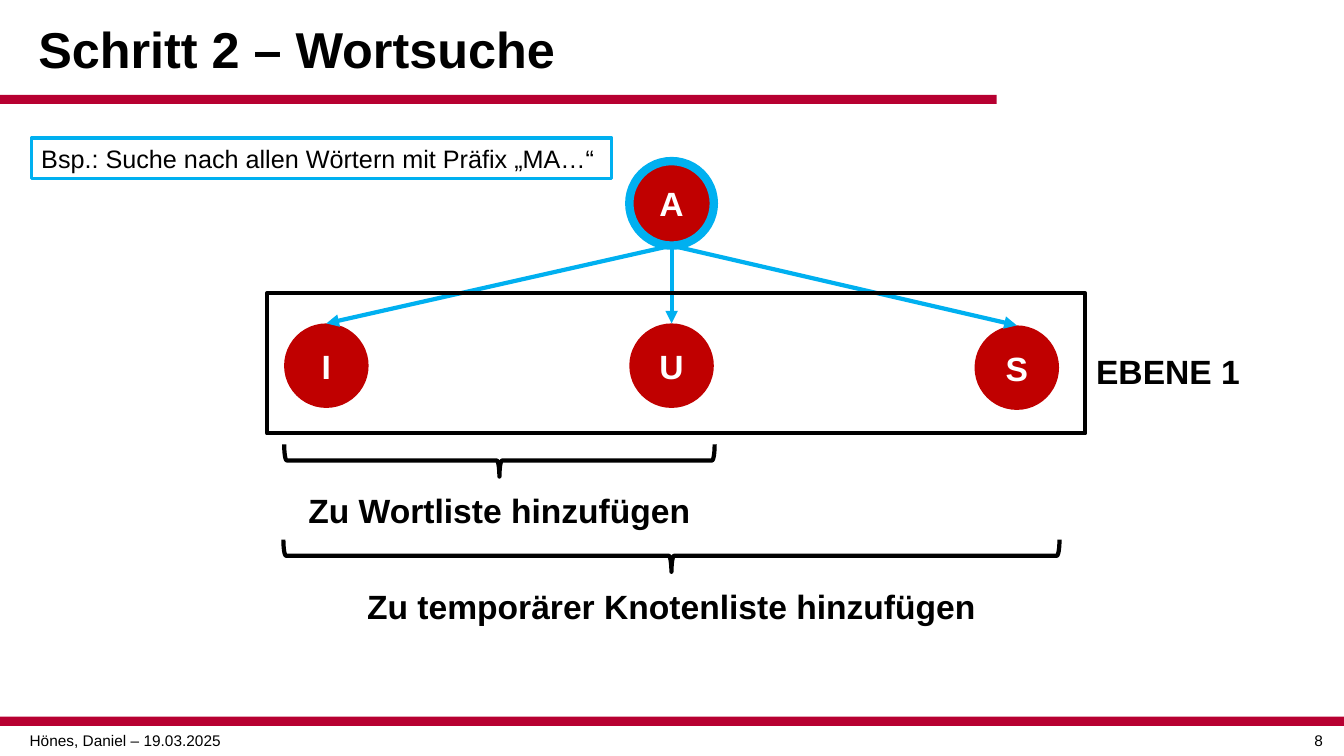
from lxml.etree import SubElement
from pptx import Presentation
from pptx.dml.color import RGBColor
from pptx.enum.shapes import MSO_CONNECTOR as Connector, MSO_SHAPE as Shape
from pptx.enum.text import MSO_ANCHOR as Anchor, PP_ALIGN as Align
from pptx.oxml.ns import qn
from pptx.util import Cm, Pt

COLORS = {"black": "000000", "white": "FFFFFF", "crimson": "B70031",
          "node": "C00000", "highlight": "00B0F0"}
NODE_SIZE = 2.13
BRACE_HEIGHT = 0.81


def color(name):
    """Return the named colour."""
    return RGBColor.from_string(COLORS[name])


def write(shape, text, size, bold=False, ink="black", align=Align.CENTER, anchor=Anchor.TOP):
    """Put one formatted paragraph into a shape."""
    frame = shape.text_frame
    frame.word_wrap = True
    frame.vertical_anchor = anchor
    para = frame.paragraphs[0]
    para.text = text
    para.alignment = align
    para.font.name = "Arial"
    para.font.size = Pt(size)
    para.font.bold = bold
    para.font.color.rgb = color(ink)
    return para


def add_label(page, box, text, size=24, bold=True):
    """Add a centred text box."""
    label = page.shapes.add_textbox(*map(Cm, box))
    write(label, text, size, bold)


def add_figure(page, kind, box, fill=None, line=None, weight=3):
    """Add a preset shape with an optional fill and outline."""
    figure = page.shapes.add_shape(kind, *map(Cm, box))
    figure.shadow.inherit = False
    if fill:
        figure.fill.solid()
        figure.fill.fore_color.rgb = color(fill)
    else:
        figure.fill.background()
    if line:
        figure.line.color.rgb = color(line)
        figure.line.width = Pt(weight)
    else:
        figure.line.fill.background()
    return figure


def add_node(page, left, top, letter, line=None):
    """Add a round tree node with its letter."""
    node = add_figure(page, Shape.OVAL, (left, top, NODE_SIZE, NODE_SIZE), "node", line, 6)
    write(node, letter, 24, True, "white", anchor=Anchor.MIDDLE)
    return node


def add_edge(page, parent, child):
    """Draw an arrow from the bottom of one node to the top of another."""
    edge = page.shapes.add_connector(
        Connector.STRAIGHT, parent.left + parent.width // 2, parent.top + parent.height,
        child.left + child.width // 2, child.top)
    edge.end_connect(child, 0)
    edge.line.color.rgb = color("highlight")
    edge.line.width = Pt(3)
    SubElement(edge.line._get_or_add_ln(), qn("a:tailEnd"), type="triangle")
    SubElement(edge._element.spPr, qn("a:effectLst"))


def add_header(page, box):
    """Place the title and the bar below it."""
    left, top, width, height = box
    title = page.shapes.title
    title.left, title.top, title.width, title.height = map(Cm, (left + 0.71, top, 28.5, height))
    para = write(title, "Schritt 2 – Wortsuche", 36, True, align=Align.LEFT, anchor=Anchor.MIDDLE)
    para.line_spacing = 0.9
    add_figure(page, Shape.RECTANGLE, (left, top + height, width, 0.23), "crimson")


def add_footer(page, box):
    """Place the bottom bar, the author line and the page number."""
    left, top, width, height = box
    bar = 0.23
    add_figure(page, Shape.RECTANGLE, (left, top, width, bar), "crimson")
    text_top, text_height = top + bar, height - bar
    add_label(page, (left, text_top, 6.32, text_height), "Hönes, Daniel – 19.03.2025", 11, False)
    add_label(page, (left + width - 1.28, text_top, 1.28, text_height), "8", 11, False)


def add_example(page, box):
    """Place the outlined search example."""
    example = add_figure(page, Shape.RECTANGLE, box, line="highlight", weight=2.25)
    write(example, "Bsp.: Suche nach allen Wörtern mit Präfix „MA…“", 18, align=Align.LEFT)


def add_tree(page, box):
    """Place the root, its children and the framed level."""
    left, top, width, height = box
    level_height = 3.53
    level_top = top + height - level_height
    step = 8.7
    first = left + 0.43
    root = add_node(page, first + step, top, "A", "highlight")
    children = [add_node(page, first + step * index, level_top + drop, letter)
                for index, (letter, drop) in enumerate([("I", 0.76), ("U", 0.76), ("S", 0.81)])]
    for child in children:
        add_edge(page, root, child)
    add_figure(page, Shape.RECTANGLE, (left, level_top, width, level_height), line="black")
    add_label(page, (left + width, level_top + 1.32, 4.17, 1.27), "EBENE 1")


def add_brace(page, box, caption):
    """Place a downward brace with its caption below."""
    left, top, width, height = box
    upright = (left + (width - BRACE_HEIGHT) / 2, top + (BRACE_HEIGHT - width) / 2,
               BRACE_HEIGHT, width)
    brace = add_figure(page, Shape.RIGHT_BRACE, upright, line="black")
    brace.rotation = 90
    add_label(page, (left, top + 1.03, width, height - 1.03), caption)


def main():
    """Build the deck and save it."""
    deck = Presentation()
    deck.slide_width, deck.slide_height = Cm(33.87), Cm(19.05)
    page = deck.slides.add_slide(deck.slide_layouts[5])
    add_header(page, (0, 0.23, 25.12, 2.16))
    add_footer(page, (0, 18.06, 33.87, 0.97))
    add_example(page, (0.79, 3.48, 14.63, 1.02))
    add_tree(page, (6.73, 4.06, 20.62, 6.86))
    add_brace(page, (7.16, 11.2, 10.85, 2.3), "Zu Wortliste hinzufügen")
    add_brace(page, (7.14, 13.6, 19.56, 2.3), "Zu temporärer Knotenliste hinzufügen")
    deck.save("out.pptx")


if __name__ == "__main__":
    main()
